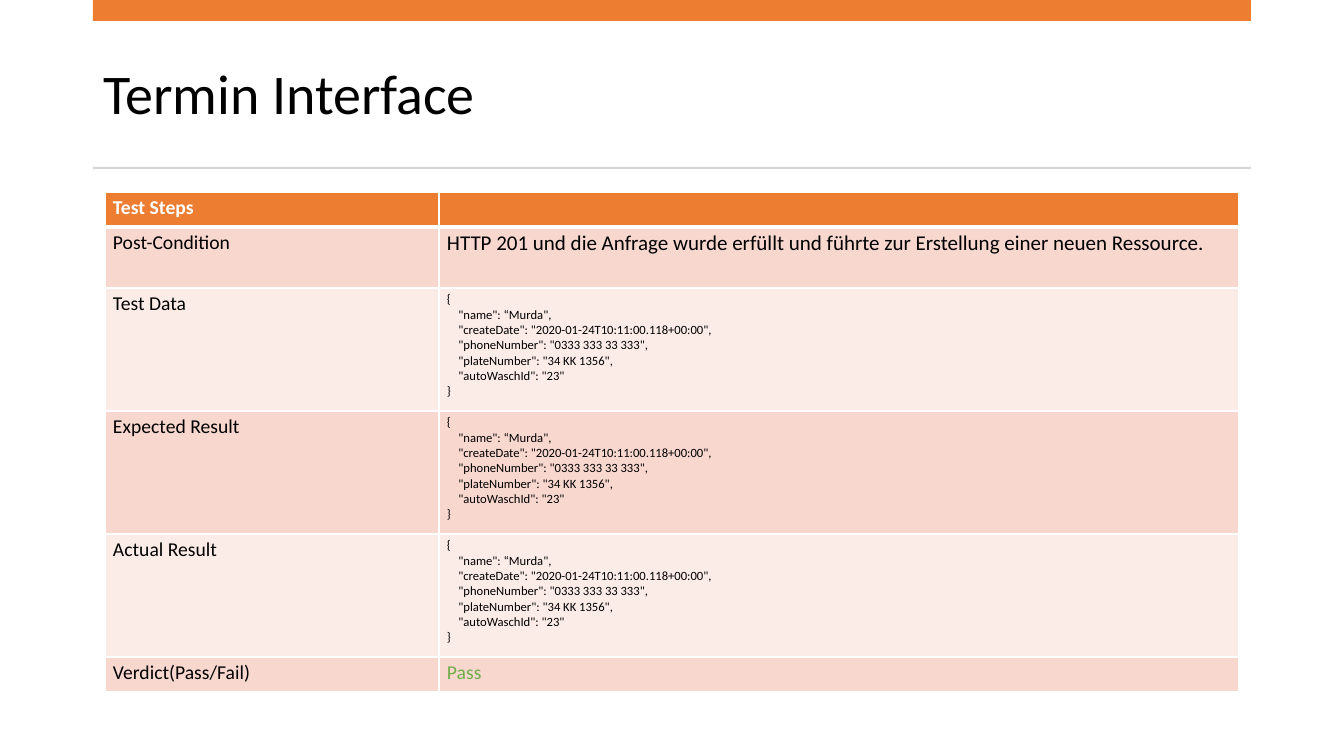
from lxml.etree import SubElement
from pptx import Presentation
from pptx.dml.color import RGBColor
from pptx.enum.shapes import MSO_SHAPE as Shape
from pptx.enum.text import MSO_ANCHOR as Anchor, PP_ALIGN as Align
from pptx.oxml.ns import qn
from pptx.util import Emu, Pt

FONT = "Calibri"
BLACK, WHITE, GREEN = "000000", "FFFFFF", "70AD47"
ORANGE, GREY = "ED7D31", "D5D5D5"
BANDS = ["FCECE8", "F8D7CE"]

TITLE = "Termin Interface"
REQUEST = [
    "{",
    '    "name": “Murda",',
    '    "createDate": "2020-01-24T10:11:00.118+00:00",',
    '    "phoneNumber": "0333 333 33 333",',
    '    "plateNumber": "34 KK 1356",',
    '    "autoWaschId": "23"',
    "}",
]
POST_CONDITION = ("HTTP 201 und die Anfrage wurde erfüllt und führte zur "
                  "Erstellung einer neuen Ressource.")
# label, value lines, value size in points, value colour, row height in px
ROWS = [
    ("Test Steps", [], 14, WHITE, 35),
    ("Post-Condition", [POST_CONDITION], 15, BLACK, 61),
    ("Test Data", REQUEST, 9, BLACK, 123),
    ("Expected Result", REQUEST, 9, BLACK, 123),
    ("Actual Result", REQUEST, 9, BLACK, 123),
    ("Verdict(Pass/Fail)", ["Pass"], 14, GREEN, 35),
]
LABEL_SIZE = 14
COLUMN_WIDTHS = [334, 800]
TABLE_LEFT, TABLE_TOP = 105, 192
BAND_LEFT, BAND_WIDTH = 93, 1158
BARS = [(0, 21, ORANGE), (167, 2, GREY)]  # top, height, colour


def px(length):
    return Emu(round(length * 914400 / 100.8))


def colour(value):
    return RGBColor.from_string(value)


def add_text(paragraph, text, size, text_colour, bold=False):
    run = paragraph.add_run()
    run.text = text
    run.font.name = FONT
    run.font.size = Pt(size)
    run.font.bold = bold
    run.font.color.rgb = colour(text_colour)


def add_borders(cell, row_index):
    """Draw white cell borders, with a heavier rule under the header row."""
    widths = {"L": 1, "R": 1, "T": 3 if row_index == 1 else 1,
              "B": 3 if row_index == 0 else 1}
    properties = cell._tc.get_or_add_tcPr()
    for side, width in widths.items():
        line = SubElement(properties, qn(f"a:ln{side}"), w=str(Pt(width)))
        fill = SubElement(line, qn("a:solidFill"))
        SubElement(fill, qn("a:srgbClr"), val=WHITE)


def fill_cell(cell, lines, size, text_colour, bold):
    cell.margin_left = cell.margin_right = px(8)
    cell.margin_top = cell.margin_bottom = px(4)
    frame = cell.text_frame
    for index, text in enumerate(lines):
        paragraph = frame.add_paragraph() if index else frame.paragraphs[0]
        add_text(paragraph, text, size, text_colour, bold)
    if not lines:
        # Keeps an empty cell from stretching its row
        ending = frame.paragraphs[0]._p.get_or_add_endParaRPr()
        ending.set("sz", str(size * 100))


def add_title(slide):
    title = slide.shapes.title
    title.left, title.top = px(BAND_LEFT), px(37)
    title.width, title.height = px(BAND_WIDTH), px(119)
    title.text_frame.vertical_anchor = Anchor.MIDDLE
    paragraph = title.text_frame.paragraphs[0]
    paragraph.alignment = Align.LEFT
    paragraph.line_spacing = 0.9
    add_text(paragraph, TITLE, 40, BLACK)


def add_bars(slide):
    for top, height, bar_colour in BARS:
        bar = slide.shapes.add_shape(Shape.RECTANGLE, px(BAND_LEFT), px(top),
                                     px(BAND_WIDTH), px(height))
        bar.shadow.inherit = False
        bar.fill.solid()
        bar.fill.fore_color.rgb = colour(bar_colour)
        bar.line.fill.background()


def add_test_table(slide):
    height = sum(row[-1] for row in ROWS)
    table = slide.shapes.add_table(
        len(ROWS), len(COLUMN_WIDTHS), px(TABLE_LEFT), px(TABLE_TOP),
        px(sum(COLUMN_WIDTHS)), px(height)).table
    for column, width in zip(table.columns, COLUMN_WIDTHS):
        column.width = px(width)
    for index, (label, lines, size, value_colour, row_height) in enumerate(ROWS):
        header = index == 0
        table.rows[index].height = px(row_height)
        label_colour = WHITE if header else BLACK
        contents = [([label], LABEL_SIZE, label_colour),
                    (lines, size, value_colour)]
        for cell, content in zip(table.rows[index].cells, contents):
            fill_cell(cell, *content, bold=header)
            add_borders(cell, index)
            cell.fill.solid()
            cell.fill.fore_color.rgb = colour(ORANGE if header else BANDS[index % 2])


def main():
    presentation = Presentation()
    presentation.slide_width, presentation.slide_height = px(1344), px(756)
    slide = presentation.slides.add_slide(presentation.slide_layouts[5])
    add_title(slide)
    add_bars(slide)
    add_test_table(slide)
    presentation.save("out.pptx")


if __name__ == "__main__":
    main()
